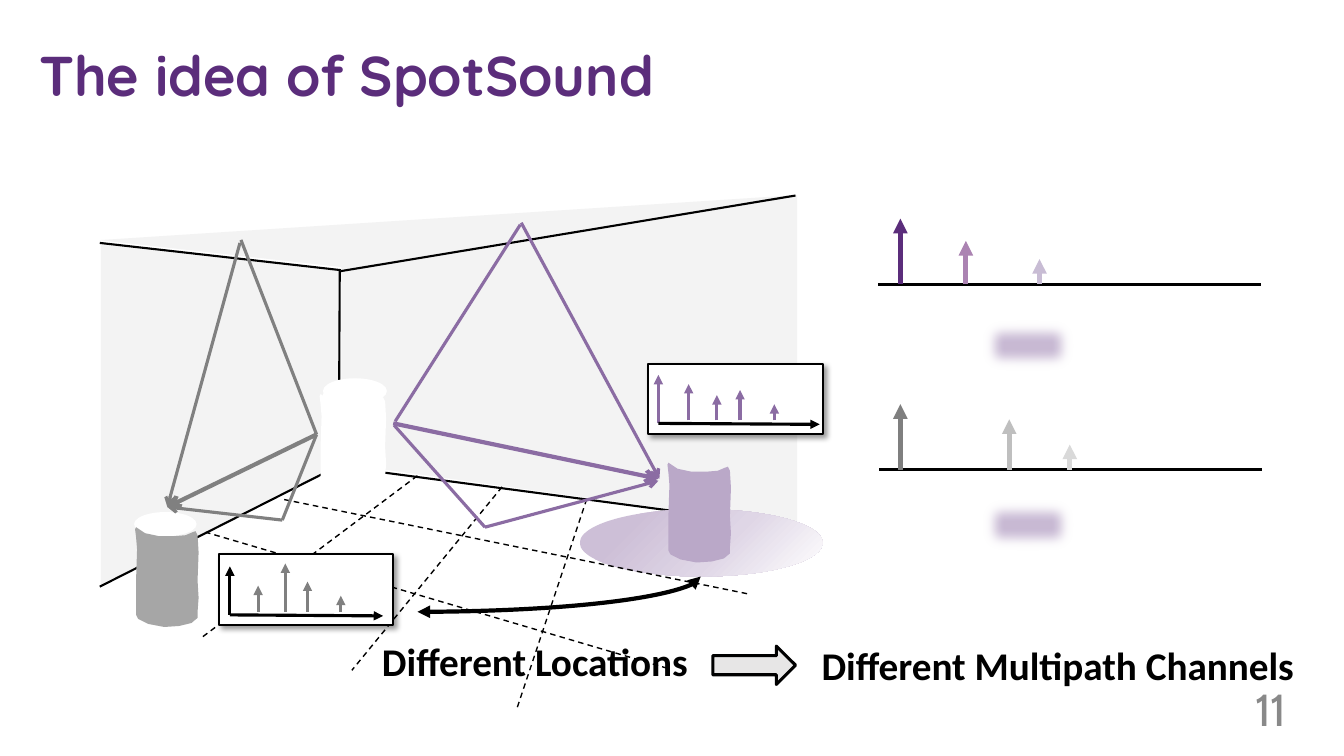
from lxml.etree import SubElement
from pptx import Presentation
from pptx.dml.color import RGBColor
from pptx.enum.dml import MSO_LINE
from pptx.enum.shapes import MSO_CONNECTOR, MSO_SHAPE
from pptx.enum.text import MSO_AUTO_SIZE
from pptx.oxml import parse_xml
from pptx.oxml.ns import nsdecls, qn
from pptx.util import Inches, Pt

BLACK, WHITE, WALL = "000000", "FFFFFF", "F3F3F3"
PURPLE, GRAY = "8B6CA3", "808080"

presentation = Presentation()
presentation.slide_width = Inches(13.33)
presentation.slide_height = Inches(7.5)
slide = presentation.slides.add_slide(presentation.slide_layouts[6])
shapes = slide.shapes


def paint(shape, fill, line=None, width=1):
    shape.shadow.inherit = False
    shape.fill.solid()
    shape.fill.fore_color.rgb = RGBColor.from_string(fill)
    if line:
        shape.line.color.rgb = RGBColor.from_string(line)
        shape.line.width = Pt(width)
    else:
        shape.line.fill.background()
    return shape


def add_line(start, end, color, width, tail=None, head=None, kind=MSO_CONNECTOR.STRAIGHT):
    connector = shapes.add_connector(kind, *map(Inches, start + end))
    connector.line.color.rgb = RGBColor.from_string(color)
    connector.line.width = Pt(width)
    for tag, arrow in (("a:headEnd", head), ("a:tailEnd", tail)):
        if arrow:
            SubElement(connector.line._get_or_add_ln(), qn(tag), type=arrow)
    SubElement(connector._element.spPr, qn("a:effectLst"))
    return connector


right_wall = paint(shapes.add_shape(
    MSO_SHAPE.TRAPEZOID, Inches(4), Inches(1.32), Inches(3.29), Inches(4.52)), WALL)
right_wall.adjustments[0] = 0.19
right_wall.rotation = 270
upper_wall = paint(shapes.add_shape(
    MSO_SHAPE.ISOSCELES_TRIANGLE, Inches(0.99), Inches(2.16), Inches(6.91), Inches(0.43)), WALL)
upper_wall.adjustments[0] = 0.351
upper_wall.rotation = 356.3
upper_wall._element.spPr.xfrm.set("flipV", "1")
left_wall = shapes.build_freeform(Inches(1), Inches(2.41))
left_wall.add_line_segments(
    [(Inches(x), Inches(y)) for x, y in [(3.37, 2.68), (3.37, 4.62), (1, 5.81)]])
paint(left_wall.convert_to_shape(), WALL)

for start, end in [
    ((7.89, 1.94), (3.38, 2.69)),
    ((7.89, 5.23), (3.37, 4.63)),
    ((3.38, 4.61), (0.99, 5.82)),
    ((3.36, 4.66), (3.37, 2.69)),
    ((0.99, 2.41), (3.38, 2.68)),
]:
    add_line(start, end, BLACK, 1.5)

spot = paint(shapes.add_shape(
    MSO_SHAPE.OVAL, Inches(5.75), Inches(5.05), Inches(2.41), Inches(0.67)), WHITE)
spot_fill = spot._element.spPr.find(qn("a:solidFill"))
stops = "".join(
    f'<a:gs pos="{position}000"><a:srgbClr val="{color}"/></a:gs>'
    for position, color in [(0, "CDBFD7"), (21, "CDBFD7"), (58, "DFD6E6"), (100, WHITE)])
spot_fill.addnext(parse_xml(
    f'<a:gradFill {nsdecls("a")} rotWithShape="1"><a:gsLst>{stops}</a:gsLst>'
    '<a:lin ang="2700000" scaled="0"/></a:gradFill>'))
spot._element.spPr.remove(spot_fill)

for left, top, line in [(1.33, 5.08, None), (3.21, 3.76, WHITE)]:
    paint(shapes.add_shape(
        MSO_SHAPE.OVAL, Inches(left), Inches(top), Inches(0.62), Inches(0.24)), WHITE, line)

cylinder_outline = [
    (0.1, 0.06), (0.24, 0.09), (0.38, 0.09), (0.5, 0.08), (0.57, 0.05), (0.6, 0.04),
    (0.62, 0.08), (0.63, 0.25), (0.62, 0.53), (0.63, 0.7), (0.62, 0.84), (0.62, 0.9),
    (0.56, 0.95), (0.44, 0.98), (0.29, 0.99), (0.13, 0.96), (0.03, 0.91), (0.01, 0.87),
    (0.01, 0.52), (0.02, 0.22), (0.01, 0.1), (0, 0.02)]
for left, top, color in [
    (1.34, 5.23, "A6A6A6"), (6.62, 4.59, "BAA8C8"), (3.17, 3.91, WHITE), (3.2, 3.9, WHITE),
]:
    cylinder = shapes.build_freeform(Inches(left + 0.01), Inches(top))
    cylinder.add_line_segments(
        [(Inches(left + x), Inches(top + y)) for x, y in cylinder_outline])
    paint(cylinder.convert_to_shape(), color)

for start, end in [
    ((4.14, 4.72), (1.98, 6.34)),
    ((4.98, 4.83), (3.49, 6.65)),
    ((5.82, 4.95), (5.12, 7.05)),
    ((7.41, 5.89), (2.79, 4.95)),
    ((6.62, 6.63), (2.04, 5.28)),
]:
    add_line(start, end, BLACK, 1).line.dash_style = MSO_LINE.DASH

for start, end, color, width, tail in [
    ((3.92, 4.18), (5.16, 2.23), PURPLE, 2.25, None),
    ((5.17, 2.21), (6.54, 4.75), PURPLE, 2.25, "arrow"),
    ((3.9, 4.2), (6.53, 4.75), PURPLE, 3, "arrow"),
    ((3.91, 4.22), (4.81, 5.23), PURPLE, 2.25, None),
    ((4.81, 5.23), (6.53, 4.77), PURPLE, 2.25, "arrow"),
    ((2.38, 2.41), (1.66, 5.03), GRAY, 2.25, "arrow"),
    ((3.14, 4.31), (2.39, 2.38), GRAY, 2.25, None),
    ((3.14, 4.31), (1.66, 5.03), GRAY, 3, "arrow"),
    ((2.8, 5.16), (1.66, 5.03), GRAY, 2.25, "arrow"),
    ((3.14, 4.31), (2.8, 5.16), GRAY, 2.25, None),
]:
    add_line(start, end, color, width, tail)

for left, top, base, axis_end, axis_color, color, axis_pulse, pulses in [
    (2.17, 5.5, 6.1, 3.8, BLACK, GRAY, (2.28, 5.62),
     [(2.56, 5.81), (2.83, 5.59), (3.38, 5.91), (3.05, 5.77)]),
    (6.43, 3.61, 4.2, 8.13, PURPLE, PURPLE, (6.53, 3.72),
     [(6.83, 3.81), (7.11, 3.92), (7.68, 4.01), (7.34, 3.87)]),
]:
    panel = paint(shapes.add_shape(
        MSO_SHAPE.RECTANGLE, Inches(left), Inches(top), Inches(1.73), Inches(0.7)),
        WHITE, BLACK, 1.5)
    panel._element.spPr.find(qn("a:effectLst")).append(parse_xml(
        f'<a:outerShdw {nsdecls("a")} blurRad="50800" dist="38100" dir="2700000" algn="tl" '
        'rotWithShape="0"><a:srgbClr val="000000"><a:alpha val="40000"/></a:srgbClr>'
        '</a:outerShdw>'))
    add_line((axis_pulse[0], base), axis_pulse, axis_color, 2.25, "triangle")
    for x, peak in pulses:
        add_line((x, base - 0.03), (x, peak), color, 2.25, "triangle")
    add_line((axis_pulse[0], base), (axis_end, base + 0.01), BLACK, 2.25, "triangle")

for top in (4.91, 3.13):
    blur = paint(shapes.add_shape(
        MSO_SHAPE.RECTANGLE, Inches(9.7), Inches(top), Inches(1), Inches(0.6)), "C9BAD4")
    SubElement(blur._element.spPr.find(qn("a:effectLst")), qn("a:softEdge"), rad="127000")

for axis_left, base, pulses in [
    (8.71, 2.82, [(10.31, 2.57, "C8BCD4"), (8.93, 2.17, "5B2D7B"), (9.58, 2.39, "AB83B2")]),
    (8.72, 4.66, [(10.61, 4.41, "D9D9D9"), (8.93, 4.01, "7F7F7F"), (10.01, 4.16, "BFBFBF")]),
]:
    add_line((axis_left, base), (axis_left + 3.8, base), BLACK, 2.25)
    for x, peak, color in pulses:
        add_line((x, base), (x, peak), color, 3.5, "triangle")

curve = add_line((4.14, 6.07), (6.95, 5.72), BLACK, 3, "triangle", "triangle",
                 MSO_CONNECTOR.CURVE)
curve._element.spPr.find(qn("a:prstGeom")).set("prst", "curvedConnector2")

paint(shapes.add_shape(
    MSO_SHAPE.RIGHT_ARROW, Inches(7.07), Inches(6.41), Inches(0.82), Inches(0.38)),
    "E7E6E6", BLACK, 2.25)

for text, box, wrap, color, font in [
    ("The idea of SpotSound", (0.29, 0.35, 11.21, 0.77), True, "5B2D7B",
     {"name": "Quicksand", "size": Pt(40), "bold": True}),
    ("Different Locations", (3.69, 6.27, 3.38, 0.57), False, BLACK,
     {"name": "Calibri", "size": Pt(28), "bold": True}),
    ("Different Multipath Channels", (8.05, 6.31, 5.05, 0.57), False, BLACK,
     {"name": "Calibri", "size": Pt(28), "bold": True}),
    ("11", (12.41, 7, 0.69, 0.32), True, "898989", {"name": "Cabin", "size": Pt(32)}),
]:
    frame = shapes.add_textbox(*map(Inches, box)).text_frame
    frame.word_wrap = wrap
    frame.auto_size = MSO_AUTO_SIZE.SHAPE_TO_FIT_TEXT
    paragraph = frame.paragraphs[0]
    run = paragraph.add_run()
    run.text = text
    run.font.color.rgb = RGBColor.from_string(color)
    for attribute, value in font.items():
        setattr(run.font, attribute, value)

for side in ("left", "top", "right", "bottom"):
    setattr(frame, f"margin_{side}", 0)
paragraph.line_spacing = Pt(21.2)
paragraph._p.get_or_add_pPr().set("marL", str(Inches(0.04)))
run.font._element.set("spc", "-20")

presentation.save("out.pptx")
